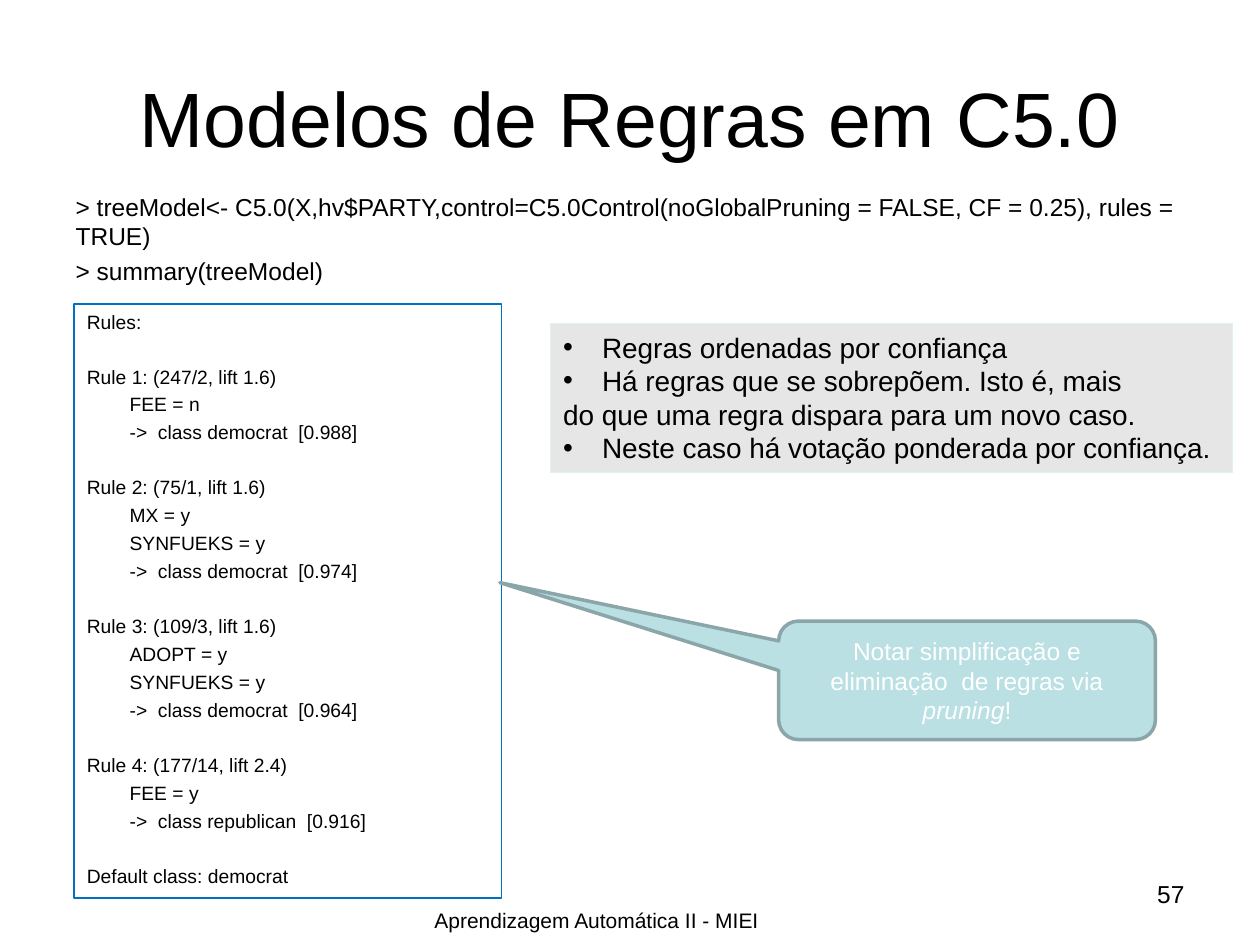
from dataclasses import dataclass

from lxml import etree
from pptx import Presentation
from pptx.dml.color import RGBColor
from pptx.enum.shapes import MSO_SHAPE
from pptx.enum.text import MSO_ANCHOR, MSO_AUTO_SIZE, PP_ALIGN
from pptx.oxml.ns import qn
from pptx.util import Inches, Pt

LEFT, CENTER, RIGHT = PP_ALIGN.LEFT, PP_ALIGN.CENTER, PP_ALIGN.RIGHT
TOP, MIDDLE = MSO_ANCHOR.TOP, MSO_ANCHOR.MIDDLE
RECTANGLE = MSO_SHAPE.RECTANGLE
CALLOUT = MSO_SHAPE.ROUNDED_RECTANGULAR_CALLOUT

FONT = "Arial"
BLACK = RGBColor(0x00, 0x00, 0x00)
WHITE = RGBColor(0xFF, 0xFF, 0xFF)
BLUE = RGBColor(0x00, 0x70, 0xC0)
PALE_TEAL = RGBColor(0xBA, 0xE0, 0xE3)
TEAL_GREY = RGBColor(0x8A, 0xA6, 0xA8)
LIGHT_GREY = RGBColor(0xE6, 0xE6, 0xE6)
ICE = RGBColor(0xE0, 0xF1, 0xF2)

RULE_SIZE = 11
RULE_INDENT = 0.34
BULLET_INDENT = 0.31
PARA_GAP = 0.25  # space before a paragraph, as a share of the text size
BLOCK_GAP = 18.2  # points above each rule


@dataclass
class Rule:
    heading: str
    conditions: list[str]
    outcome: str


RULES = [
    Rule("Rule 1: (247/2, lift 1.6)", ["FEE = n"], "democrat  [0.988]"),
    Rule("Rule 2: (75/1, lift 1.6)", ["MX = y", "SYNFUEKS = y"], "democrat  [0.974]"),
    Rule("Rule 3: (109/3, lift 1.6)", ["ADOPT = y", "SYNFUEKS = y"], "democrat  [0.964]"),
    Rule("Rule 4: (177/14, lift 2.4)", ["FEE = y"], "republican  [0.916]"),
]

COMMANDS = [
    "> treeModel<- C5.0(X,hv$PARTY,control=C5.0Control("
    "noGlobalPruning = FALSE, CF = 0.25), rules = TRUE)",
    "> summary(treeModel)",
]

# Text and whether it carries a bullet
REMARKS = [
    ("Regras ordenadas por confiança", True),
    ("Há regras que se sobrepõem. Isto é, mais", True),
    ("do que uma regra dispara para um novo caso.", False),
    ("Neste caso há votação ponderada por confiança.", True),
]


def place(box, left: float, top: float, width: float, height: float) -> None:
    box.left, box.top = Inches(left), Inches(top)
    box.width, box.height = Inches(width), Inches(height)


def prepare_frame(box, anchor=TOP):
    frame = box.text_frame
    frame.word_wrap = True
    frame.auto_size = MSO_AUTO_SIZE.NONE
    frame.vertical_anchor = anchor
    return frame


def add_span(para, text: str, size: float, color=BLACK, italic=False) -> None:
    span = para.add_run()
    span.text = text
    span.font.name = FONT
    span.font.size = Pt(size)
    span.font.color.rgb = color
    span.font.italic = italic


def add_para(frame, text: str, *, size: float, color=BLACK, align=LEFT,
             before: float = 0, indent: float = 0, bullet: bool = False):
    """Write text in the empty first paragraph, or in a new one."""
    para = frame.paragraphs[0]
    if para.runs:
        para = frame.add_paragraph()
    para.alignment = align
    para.space_before = Pt(before)
    properties = para._p.get_or_add_pPr()
    properties.set("marL", str(Inches(indent)))
    properties.set("indent", str(Inches(-indent if bullet else 0)))
    if bullet:
        etree.SubElement(properties, qn("a:buFont")).set("typeface", FONT)
        etree.SubElement(properties, qn("a:buChar")).set("char", "•")
    else:
        etree.SubElement(properties, qn("a:buNone"))
    add_span(para, text, size, color)
    return para


def add_box(slide, kind, area: tuple, line: RGBColor, weight: float, fill=None):
    box = slide.shapes.add_shape(kind, *map(Inches, area))
    box.shadow.inherit = False
    if fill is None:
        box.fill.background()
    else:
        box.fill.solid()
        box.fill.fore_color.rgb = fill
    box.line.color.rgb = line
    box.line.width = Pt(weight)
    return box


def add_label(slide, area: tuple, text: str, size: float, align=LEFT) -> None:
    box = slide.shapes.add_textbox(*map(Inches, area))
    add_para(prepare_frame(box), text, size=size, align=align)


def add_rules(slide) -> None:
    box = add_box(slide, RECTANGLE, (0.59, 2.41, 3.39, 4.72), BLUE, 1)
    frame = prepare_frame(box)
    gap = RULE_SIZE * PARA_GAP
    add_para(frame, "Rules:", size=RULE_SIZE, before=gap)
    for rule in RULES:
        add_para(frame, rule.heading, size=RULE_SIZE, before=BLOCK_GAP)
        for text in [*rule.conditions, f"->  class {rule.outcome}"]:
            add_para(frame, text, size=RULE_SIZE, before=gap, indent=RULE_INDENT)
    add_para(frame, "Default class: democrat", size=RULE_SIZE, before=BLOCK_GAP)


def add_callout(slide) -> None:
    box = add_box(slide, CALLOUT, (6.18, 4.93, 2.99, 0.94), TEAL_GREY, 2, PALE_TEAL)
    for index, value in enumerate((-1.24, -0.825, 0.167)):
        box.adjustments[index] = value
    para = add_para(prepare_frame(box, MIDDLE),
                    "Notar simplificação e eliminação  de regras via ",
                    size=14, color=WHITE, align=CENTER)
    add_span(para, "pruning", 14, WHITE, italic=True)
    add_span(para, "!", 14, WHITE)


def add_remarks(slide) -> None:
    box = add_box(slide, RECTANGLE, (4.37, 2.57, 5.41, 1.18), ICE, 0.75, LIGHT_GREY)
    frame = prepare_frame(box)
    for text, bullet in REMARKS:
        add_para(frame, text, size=16, bullet=bullet,
                 indent=BULLET_INDENT if bullet else 0)


def main() -> None:
    deck = Presentation()
    deck.slide_width, deck.slide_height = Inches(10), Inches(7.5)
    page = deck.slides.add_slide(deck.slide_layouts[1])
    title, body = page.placeholders

    # Title and commands
    place(title, 0.5, 0.3, 9, 1.25)
    add_para(prepare_frame(title, MIDDLE), "Modelos de Regras em C5.0",
             size=44, align=CENTER)
    place(body, 0.5, 1.47, 9, 0.98)
    frame = prepare_frame(body)
    for command in COMMANDS:
        add_para(frame, command, size=14, before=14 * PARA_GAP)

    # Footer and page number
    add_label(page, (3.35, 7.15, 3.23, 0.3), "Aprendizagem Automática II - MIEI", 12)
    add_label(page, (7.17, 6.93, 2.33, 0.52), "57", 14, RIGHT)

    # Model output and comments
    add_rules(page)
    add_callout(page)
    add_remarks(page)

    deck.save("out.pptx")


if __name__ == "__main__":
    main()
